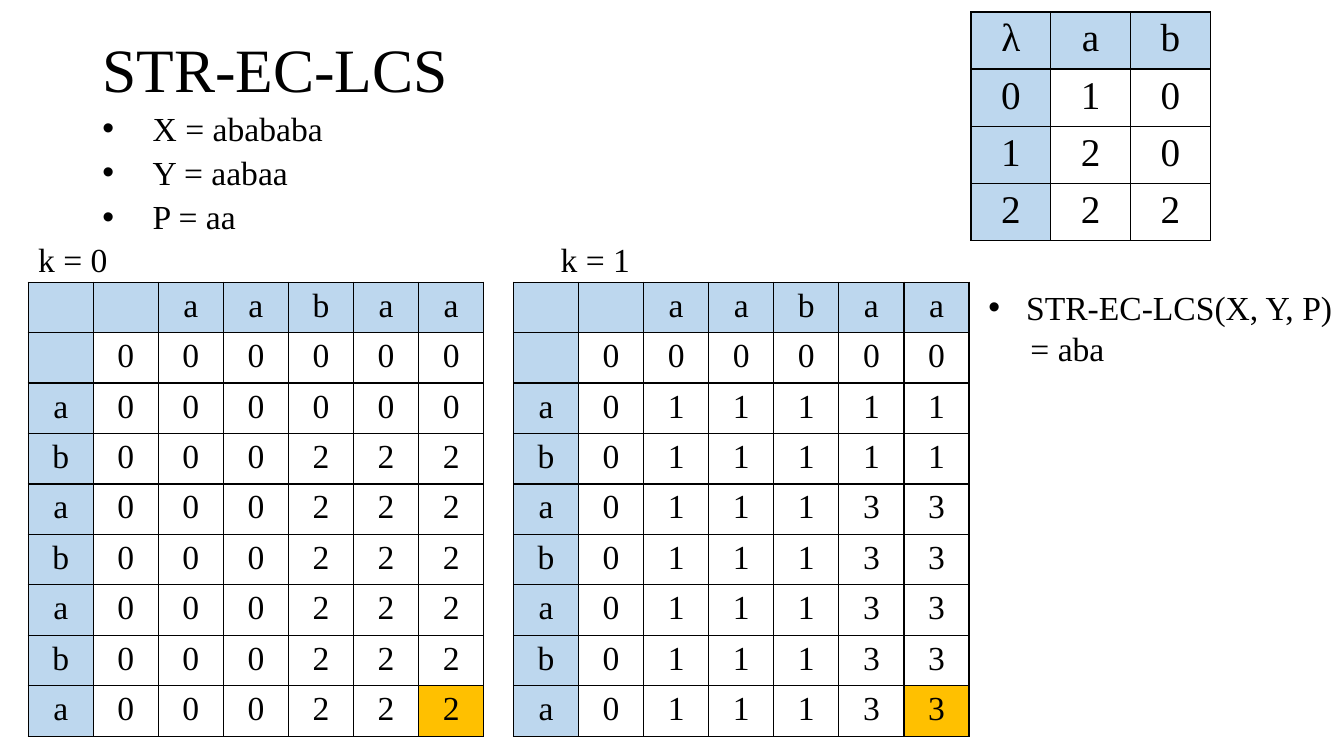
"""Build the STR-EC-LCS slide with its tables."""
from pptx import Presentation
from pptx.dml.color import RGBColor as RGB
from pptx.enum.text import MSO_ANCHOR as Anchor, PP_ALIGN as Align
from pptx.oxml.ns import qn
from pptx.util import Cm, Pt
from lxml.etree import SubElement as Sub

BLACK = RGB(0, 0, 0)
WHITE = RGB(255, 255, 255)
BLUE = RGB(0xBD, 0xD7, 0xEE)
GOLD = RGB(0xFF, 0xC0, 0)

X, Y = "abababa", "aabaa"
ZERO = "000000"
FREE = [ZERO] * 2 + ["000222"] * 6
BOUND = [ZERO] + ["011111"] * 2 + ["011133"] * 5


class Deck:
    """Hold the style and the current slide."""

    font = "Times New Roman"

    def __init__(self):
        self.prs = Presentation()
        self.prs.slide_width, self.prs.slide_height = Cm(33.87), Cm(19.05)
        self.slide = self.prs.slides.add_slide(self.prs.slide_layouts[5])

    def style(self, para, size):
        for run in para.runs:
            run.font.name = self.font
            run.font.size = Pt(size)
            run.font.color.rgb = BLACK

    def title(self, text, x, y, w, h):
        head = self.slide.shapes.title
        head.left, head.top, head.width, head.height = map(Cm, (x, y, w, h))
        frame = head.text_frame
        frame.text = text
        frame.vertical_anchor = Anchor.MIDDLE
        para = frame.paragraphs[0]
        para.alignment = Align.LEFT
        para.line_spacing = 0.9
        self.style(para, 44)

    def text(self, lines, x, y, w, h):
        box = self.slide.shapes.add_textbox(Cm(x), Cm(y), Cm(w), Cm(h))
        frame = box.text_frame
        frame.word_wrap = True
        frame.text = "\n".join(lines)
        for para in frame.paragraphs:
            self.style(para, 24)
        return frame.paragraphs

    def indent(self, para, left, first=0):
        props = para._p.get_or_add_pPr()
        props.set("marL", str(Cm(left)))
        props.set("indent", str(Cm(first)))
        return props

    def bullet(self, para, hang):
        props = self.indent(para, hang, -hang)
        Sub(props, qn("a:buFont"), typeface="Arial")
        Sub(props, qn("a:buChar"), char="•")

    def tab(self, para, pos):
        tabs = Sub(para._p.get_or_add_pPr(), qn("a:tabLst"))
        Sub(tabs, qn("a:tab"), pos=str(Cm(pos)), algn="l")

    def border(self, cell):
        props = cell._tc.get_or_add_tcPr()
        for side in ("lnL", "lnR", "lnT", "lnB"):
            line = Sub(props, qn("a:" + side), w=str(Pt(1)))
            fill = Sub(line, qn("a:solidFill"))
            Sub(fill, qn("a:srgbClr"), val=str(BLACK))

    def table(self, rows, x, y, wide, high, size, mark=False):
        nr, nc = len(rows), len(rows[0])
        grid = self.slide.shapes.add_table(
            nr, nc, Cm(x), Cm(y), Cm(wide * nc), Cm(high * nr)).table
        grid.first_row = grid.horz_banding = False
        for col in grid.columns:
            col.width = Cm(wide)
        for r, row in enumerate(rows):
            grid.rows[r].height = Cm(high)
            for c, char in enumerate(row):
                cell = grid.cell(r, c)
                cell.text_frame.text = char.strip()
                para = cell.text_frame.paragraphs[0]
                para.alignment = Align.CENTER
                self.style(para, size)
                self.border(cell)
                last = mark and (r, c) == (nr - 1, nc - 1)
                cell.fill.solid()
                cell.fill.fore_color.rgb = (
                    GOLD if last else WHITE if r and c else BLUE)


def main():
    deck = Deck()
    deck.title("STR-EC-LCS", 2.33, 0, 29.21, 3.68)

    facts = deck.text([f"X = {X}", f"Y = {Y}", "P = aa"],
                      2.33, 2.7, 29.21, 12.09)
    for i, para in enumerate(facts):
        deck.bullet(para, 1.27)
        para.line_spacing = 0.9
        para.space_before = Pt(5.6 if i else 0)

    label = deck.text(["k = 0\tk = 1"], 0.71, 5.89, 22.43, 1.27)
    deck.tab(label[0], 13.17)

    for left, vals in ((0.71, FREE), (12.94, BOUND)):
        rows = ["  " + Y] + [k + v for k, v in zip(" " + X, vals)]
        deck.table(rows, left, 7.11, 1.64, 1.27, 24, mark=True)
    deck.table(["λab", "010", "120", "222"], 24.47, 0.3, 2.01, 1.44, 28)

    name, value = deck.text(["STR-EC-LCS(X, Y, P)", "= aba"],
                            24.66, 7.11, 12.8, 3.33)
    deck.bullet(name, 0.95)
    deck.indent(value, 1.06)
    deck.prs.save("out.pptx")


if __name__ == "__main__":
    main()
